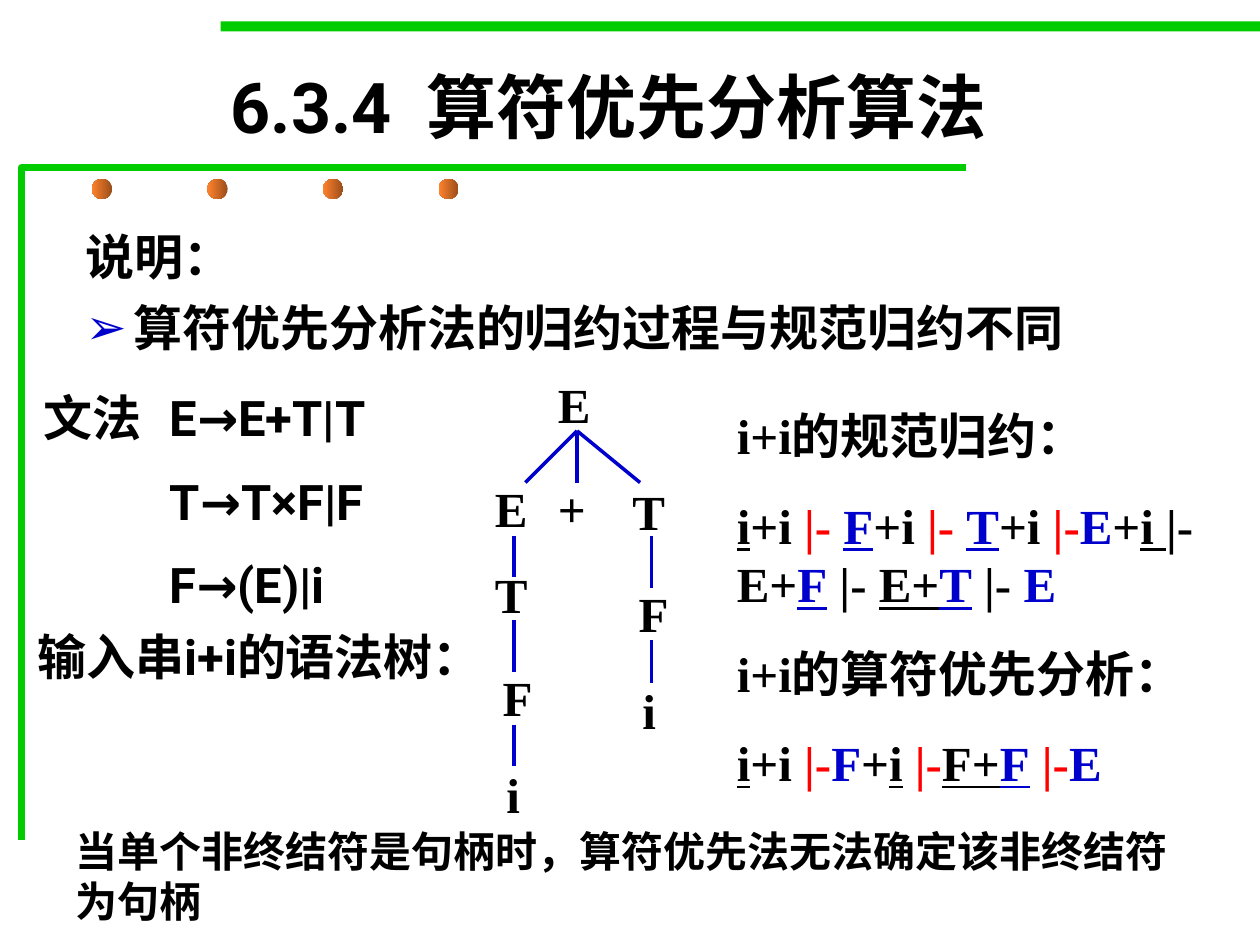
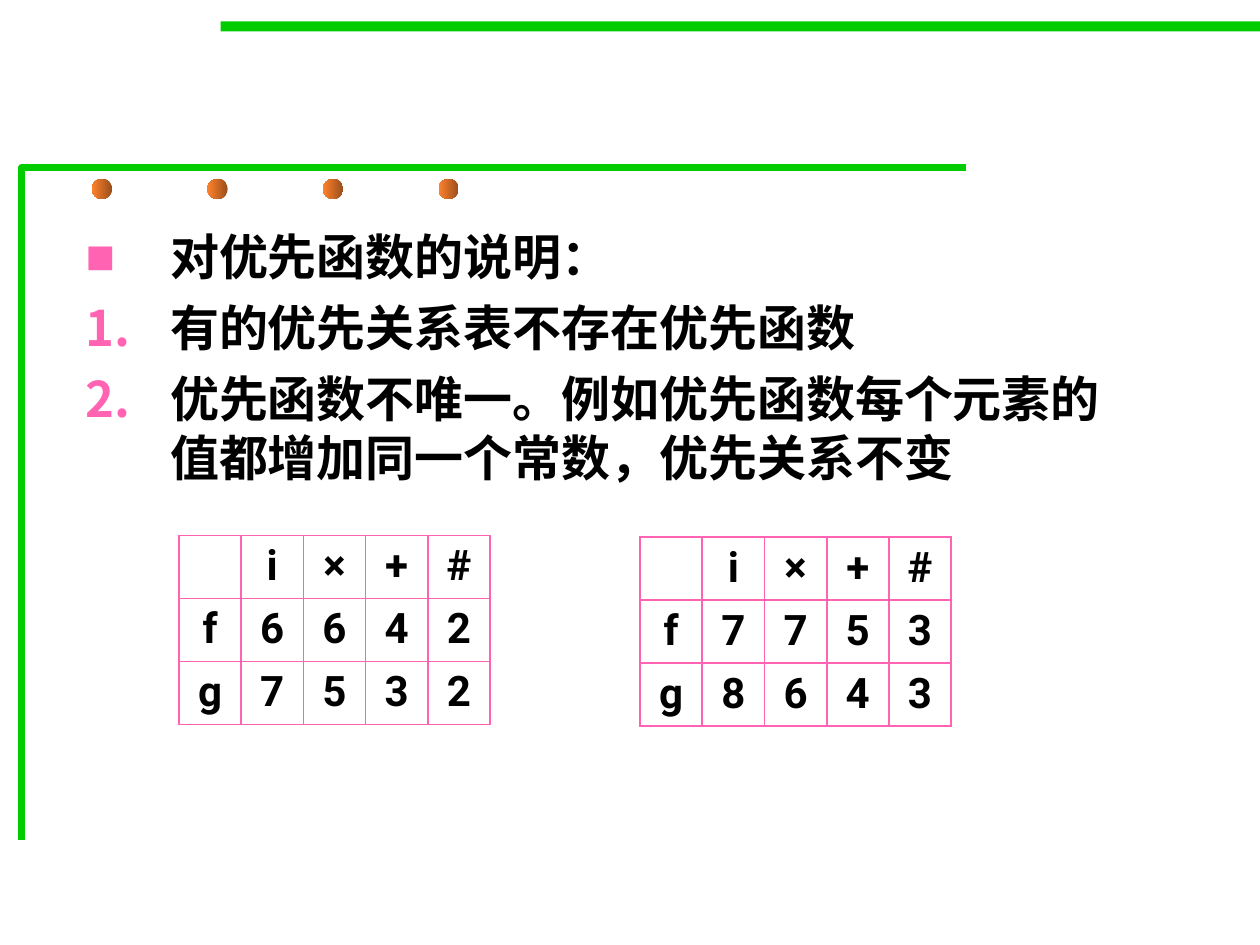
from dataclasses import dataclass

import pptx
import pptx.dml.color
import pptx.enum.shapes
import pptx.enum.text
import pptx.oxml
import pptx.oxml.ns
import pptx.util
from lxml import etree

Inches, Pt = pptx.util.Inches, pptx.util.Pt
RGB = pptx.dml.color.RGBColor.from_string
SHAPES = pptx.enum.shapes.MSO_SHAPE
ALIGN = pptx.enum.text.PP_ALIGN
AUTOSIZE = pptx.enum.text.MSO_AUTO_SIZE
qn = pptx.oxml.ns.qn


@dataclass(frozen=True)
class Theme:
    sans: str = "Roboto"
    serif: str = "Times New Roman"
    ink: str = "000000"
    blue: str = "0000CC"
    red: str = "FF0000"
    pink: str = "FF63B1"
    green: str = "00CC00"
    dot_dark: str = "9A4E1B"
    dot_light: str = "FF822D"
    title: int = 40
    body: int = 28
    small: int = 24
    body_gap: float = 7
    text_gap: float = 17.5


THEME = Theme()

# ---- Content: slide 1 ----
TITLE = [("6.3.4  ", ""), ("算符优先分析算法", "s")]
REMARKS = [("说明：", None, None),
           ("算符优先分析法的归约过程与规范归约不同", "➢", THEME.blue)]
GRAMMAR = ["文法 \tE→E+T|T", "\tT→T×F|F", "\tF→(E)|i"]
TREE_CAPTION = "输入串i+i的语法树："
CONCLUSION = "当单个非终结符是句柄时，算符优先法无法确定该非终结符为句柄"

# Run marks: u underlined, b blue, r red, s serif
REDUCTIONS = [
    "i+i的规范归约：",
    [("i", "u"), ("+i ", ""), ("|- ", "r"), ("F", "bu"), ("+i ", ""),
     ("|- ", "r"), ("T", "bu"), ("+i ", ""), ("|-", "r"), ("E", "b"),
     ("+", ""), ("i ", "u"), ("|-E+", ""), ("F", "bu"), (" |- ", ""),
     ("E+", "u"), ("T", "bu"), (" |- ", ""), ("E ", "b")],
    "i+i的算符优先分析：",
    [("i", "u"), ("+i ", ""), ("|-", "r"), ("F", "b"), ("+", ""), ("i", "u"),
     (" ", ""), ("|-", "r"), ("F+", "u"), ("F", "bu"), (" ", ""),
     ("|-", "r"), ("E", "b")],
]

# Syntax tree: symbols with left and top, branches as x1, y1, x2, y2
TREE_SYMBOLS = [
    ("E", 4.33, 2.92),
    ("E", 3.83, 3.75), ("+", 4.33, 3.75), ("T", 4.92, 3.77),
    ("T", 3.83, 4.43), ("F", 3.89, 5.25), ("i", 3.92, 6.02),
    ("F", 4.97, 4.58), ("i", 5.00, 5.35),
]
ROOT = (4.58, 3.42)
LEFT_X, RIGHT_X = 4.08, 5.17
TREE_BRANCHES = (
    [(*ROOT, x, 3.83) for x in (4.17, 4.58, 5.08)]
    + [(LEFT_X, y1, LEFT_X, y2)
       for y1, y2 in ((4.25, 4.58), (4.92, 5.33), (5.75, 6.08))]
    + [(RIGHT_X, y1, RIGHT_X, y2) for y1, y2 in ((4.25, 4.67), (5.08, 5.42))]
)

# ---- Content: slide 2 ----
FUNCTION_NOTES = [
    ("对优先函数的说明：", "■", THEME.pink),
    ("有的优先关系表不存在优先函数", "1.", THEME.pink),
    ("优先函数不唯一。例如优先函数每个元素的值都增加同一个常数，优先关系不变",
     "1.", THEME.pink),
]
FUNCTION_HEAD = ["", "i", "×", "+", "#"]
FUNCTION_TABLES = [
    ((1.42, 4.25), [["f", 6, 6, 4, 2], ["g", 7, 5, 3, 2]]),
    ((5.08, 4.26), [["f", 7, 7, 5, 3], ["g", 8, 6, 4, 3]]),
]


# ---- Text helpers ----
def add_xml(parent, tag, **attributes):
    return etree.SubElement(parent, qn(tag), attributes)


def set_font(paragraph, size, face):
    font = paragraph.font
    font.size, font.name, font.bold = Pt(size), face, True
    font.color.rgb = RGB(THEME.ink)


def write_runs(paragraph, runs):
    if isinstance(runs, str):
        runs = [(runs, "")]
    for text, marks in runs:
        run = paragraph.add_run()
        run.text = text
        if "u" in marks:
            run.font.underline = True
        if "b" in marks:
            run.font.color.rgb = RGB(THEME.blue)
        if "r" in marks:
            run.font.color.rgb = RGB(THEME.red)
        if "s" in marks:
            run.font.name = THEME.serif


def paragraphs_for(frame, items):
    """Yield a paragraph of the frame for each item."""
    for index, item in enumerate(items):
        yield (frame.add_paragraph() if index else frame.paragraphs[0]), item


def add_text(shapes, box, lines, size=THEME.body, face=THEME.serif,
             gap=THEME.text_gap, spacing=None, tab=None, wrap=True):
    frame = shapes.add_textbox(*map(Inches, box)).text_frame
    frame.word_wrap = wrap
    frame.auto_size = AUTOSIZE.SHAPE_TO_FIT_TEXT
    for paragraph, line in paragraphs_for(frame, lines):
        paragraph.space_before = Pt(gap)
        if spacing:
            paragraph.line_spacing = spacing
        if tab:
            tabs = add_xml(paragraph._p.get_or_add_pPr(), "a:tabLst")
            add_xml(tabs, "a:tab", pos=str(Inches(tab)), algn="l")
        set_font(paragraph, size, face)
        write_runs(paragraph, line)


def place(placeholder, box):
    placeholder.left, placeholder.top, placeholder.width, placeholder.height = \
        map(Inches, box)
    placeholder.text_frame.auto_size = AUTOSIZE.NONE
    return placeholder.text_frame


def fill_body(slide, height, items, indent):
    frame = place(slide.placeholders[1], (0.58, 1.75, 8.5, height))
    for paragraph, (text, bullet, color) in paragraphs_for(frame, items):
        paragraph.space_before = Pt(THEME.body_gap)
        properties = paragraph._p.get_or_add_pPr()
        properties.set("marL", str(Inches(indent)))
        properties.set("indent", str(-Inches(indent)))
        if bullet is None:
            add_xml(properties, "a:buNone")
        else:
            add_xml(add_xml(properties, "a:buClr"), "a:srgbClr", val=color)
            if bullet == "1.":
                add_xml(properties, "a:buFont", typeface=THEME.sans)
                add_xml(properties, "a:buAutoNum", type="arabicPeriod")
            else:
                add_xml(properties, "a:buFont", typeface="Arial")
                add_xml(properties, "a:buChar", char=bullet)
        set_font(paragraph, THEME.body, THEME.sans)
        write_runs(paragraph, text)


# ---- Shared frame: top band, corner rule, dots ----
def add_frame(slide):
    shapes = slide.shapes
    band = shapes.add_shape(SHAPES.RECTANGLE,
                            *map(Inches, (1.75, 0.17, 8.25, 0.08)))
    band.fill.solid()
    band.fill.fore_color.rgb = RGB(THEME.green)

    outline = shapes.build_freeform(Inches(0.17), Inches(6.67))
    outline.add_line_segments([(Inches(0.17), Inches(1.33)),
                               (Inches(7.67), Inches(1.33))], close=False)
    corner = outline.convert_to_shape()
    corner.fill.background()
    corner.line.color.rgb = RGB(THEME.green)
    corner.line.width = Pt(4)
    corner.shadow.inherit = False

    dots = [shapes.add_shape(SHAPES.OVAL, Inches(0.73 + 0.917 * i),
                             Inches(1.42), Inches(0.16), Inches(0.16))
            for i in range(4)]
    for dot in dots:
        dot.fill.gradient()
        dot.fill.gradient_angle = 180
        for stop, color in zip(dot.fill.gradient_stops,
                               (THEME.dot_dark, THEME.dot_light)):
            stop.color.rgb = RGB(color)
    for shape in [band, *dots]:
        shape.line.fill.background()
        shape.shadow.inherit = False


def add_tree(slide):
    tree = slide.shapes.add_group_shape().shapes
    for symbol, left, top in TREE_SYMBOLS:
        add_text(tree, (left, top, 0.42, 0.57), [symbol])
    for ends in TREE_BRANCHES:
        branch = tree.add_connector(pptx.enum.shapes.MSO_CONNECTOR.STRAIGHT,
                                    *map(Inches, ends))
        branch.line.color.rgb = RGB(THEME.blue)
        branch.line.width = Pt(2)
        add_xml(branch._element.spPr, "a:effectLst")


def add_function_table(slide, corner, values):
    rows = [FUNCTION_HEAD, *values]
    columns = len(FUNCTION_HEAD)
    table = slide.shapes.add_table(
        len(rows), columns,
        *map(Inches, (*corner, 2.47, 1.5))).table
    table.first_row = table.horz_banding = False
    for r, row in enumerate(rows):
        for c, value in enumerate(row):
            cell = table.cell(r, c)
            properties = cell._tc.get_or_add_tcPr()
            for side in ("a:lnL", "a:lnR", "a:lnT", "a:lnB"):
                border = add_xml(properties, side, w=str(Pt(1.08)))
                add_xml(add_xml(border, "a:solidFill"), "a:srgbClr",
                        val=THEME.pink)
            cell.fill.background()
            paragraph = cell.text_frame.paragraphs[0]
            paragraph.alignment = ALIGN.CENTER
            paragraph.space_before = Pt(6)
            set_font(paragraph, THEME.small, THEME.sans)
            if value != "":
                write_runs(paragraph, str(value))


# ---- Build ----
deck = pptx.Presentation()
deck.slide_width, deck.slide_height = Inches(10), Inches(7.5)
content_layout = deck.slide_layouts[1]

# Slide 1: reduction compared with operator precedence
analysis = deck.slides.add_slide(content_layout)
add_frame(analysis)
heading = place(analysis.shapes.title, (0.58, 0.42, 8.5, 0.83)).paragraphs[0]
heading.alignment = ALIGN.CENTER
set_font(heading, THEME.title, THEME.sans)
write_runs(heading, TITLE)
fill_body(analysis, 1.17, REMARKS, indent=0.38)
add_text(analysis.shapes, (0.25, 3.08, 3.33, 1.85), GRAMMAR,
         face=THEME.sans, spacing=0.9, tab=1)
add_text(analysis.shapes, (0.2, 4.92, 3.95, 0.57), [TREE_CAPTION],
         face=THEME.sans, gap=0, wrap=False)
add_tree(analysis)
add_text(analysis.shapes, (5.75, 3.17, 4, 3.17), REDUCTIONS)
add_text(analysis.shapes, (0.5, 6.5, 8.92, 0.9), [CONCLUSION],
         size=THEME.small, gap=15)

# Slide 2: notes on precedence functions
functions = deck.slides.add_slide(content_layout)
add_frame(functions)
untitled = functions.shapes.title._element
untitled.getparent().remove(untitled)
fill_body(functions, 5.08, FUNCTION_NOTES, indent=0.67)
for corner, values in FUNCTION_TABLES:
    add_function_table(functions, corner, values)

deck.save("out.pptx")
